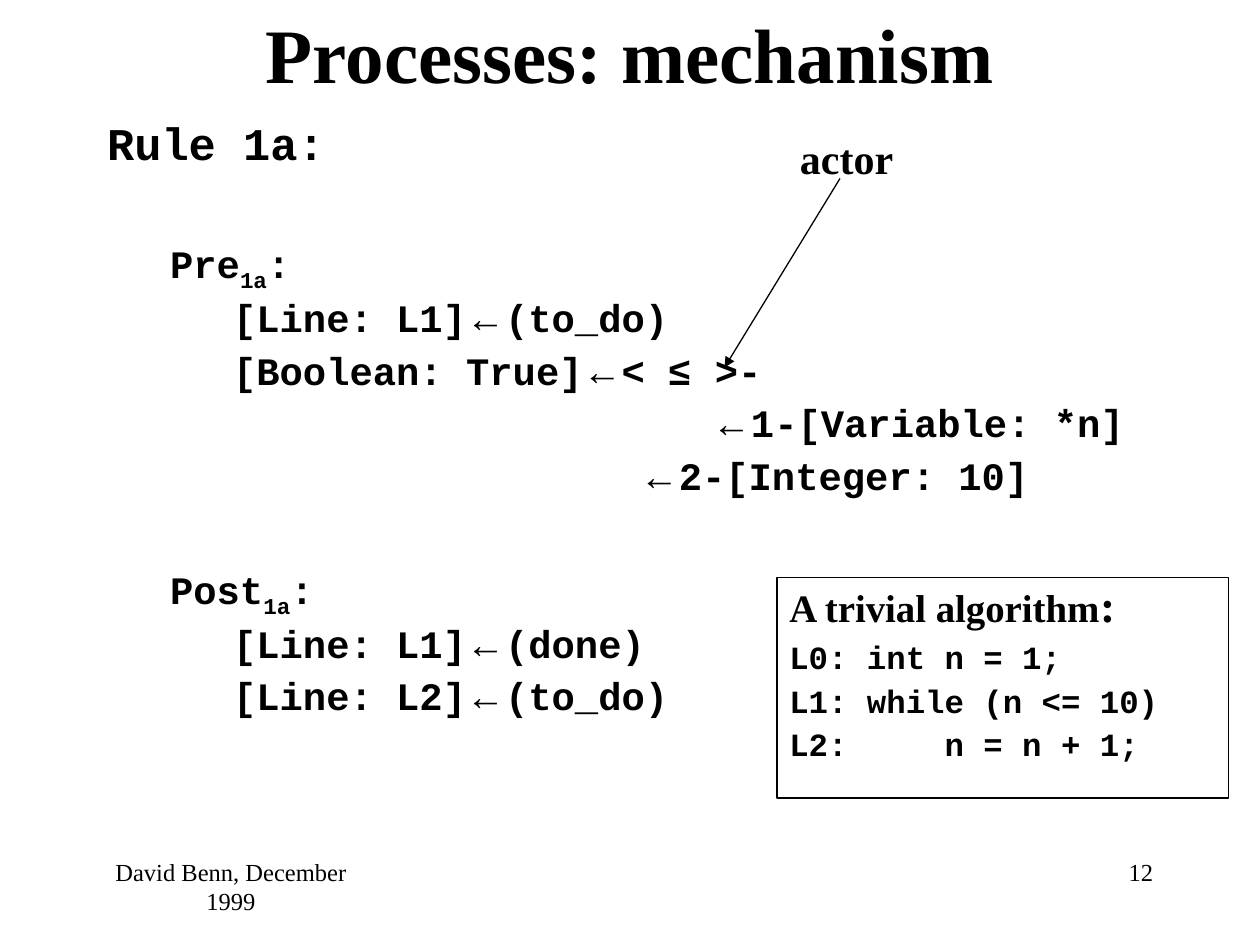
from dataclasses import dataclass

from lxml import etree
from pptx import Presentation
from pptx.dml.color import RGBColor
from pptx.enum.shapes import MSO_CONNECTOR, MSO_SHAPE
from pptx.enum.text import MSO_ANCHOR, MSO_AUTO_SIZE, PP_ALIGN
from pptx.oxml.ns import qn
from pptx.util import Emu, Pt

CENTER, LEFT, RIGHT = PP_ALIGN.CENTER, PP_ALIGN.LEFT, PP_ALIGN.RIGHT
TOP, MIDDLE = MSO_ANCHOR.TOP, MSO_ANCHOR.MIDDLE
NO_FIT = MSO_AUTO_SIZE.NONE
RECTANGLE, STRAIGHT = MSO_SHAPE.RECTANGLE, MSO_CONNECTOR.STRAIGHT
PX = 9525


@dataclass(frozen=True)
class Theme:
    """Hold the colours, fonts and type sizes of the slide."""
    ink: RGBColor = RGBColor(0, 0, 0)
    serif: str = "Times New Roman"
    mono: str = "Courier New"
    symbol: str = "Arial"
    title: float = 44
    heading: float = 25.9
    label: float = 24
    body: float = 22.2
    code: float = 18.5
    footer: float = 14
    line: float = 0.75
    spacing: float = 0.9


THEME = Theme()
LEVEL_INDENTS = [(36, -36), (78, -30), (120, -24)]
RULE_LINES = [
    (0, 0, None, ["Rule 1a:"]),
    (1, 40, None, ["Pre", "1a", ":"]),
    (2, 6, None, ["[Line: L1]", "←", "(to_do)"]),
    (2, 6, None, ["[Boolean: True]", "←", "< ≤ >-"]),
    (1, 6, 461, ["←", "1-[Variable: *n]"]),
    (2, 6, 406, ["←", "2-[Integer: 10]"]),
    (1, 39, None, ["Post", "1a", ":"]),
    (2, 6, None, ["[Line: L1]", "←", "(done)"]),
    (2, 6, None, ["[Line: L2]", "←", "(to_do)"]),
]
CODE_LINES = ["L0: int n = 1;", "L1: while (n <= 10)", "L2:     n = n + 1;"]


def px(*lengths):
    """Turn pixel lengths into EMU."""
    return [Emu(length * PX) for length in lengths]


def add_run(p, text, size, font, bold=True):
    """Append a formatted run to a paragraph."""
    r = p.add_run()
    r.text = text
    r.font.size, r.font.name, r.font.bold = Pt(size), font, bold
    r.font.color.rgb = THEME.ink
    return r


def format_paragraph(p, before, margin, indent):
    """Set the spacing and indent of an unbulleted paragraph."""
    pPr = p._p.get_or_add_pPr()
    pPr.set("marL", str(margin * PX))
    pPr.set("indent", str(indent * PX))
    etree.SubElement(pPr, qn("a:buNone"))
    p.alignment = LEFT
    p.line_spacing, p.space_before = THEME.spacing, Pt(before)


def next_paragraph(tf, index):
    """Return the first paragraph or append another one."""
    return tf.add_paragraph() if index else tf.paragraphs[0]


def place(s, left, top, width, height):
    """Move and size a shape."""
    s.left, s.top, s.width, s.height = px(left, top, width, height)


def fill_title(s):
    """Write the slide title."""
    place(s, 72, 0, 816, 80)
    tf = s.text_frame
    tf.auto_size, tf.vertical_anchor = NO_FIT, MIDDLE
    p = tf.paragraphs[0]
    p.alignment = CENTER
    add_run(p, "Processes: mechanism", THEME.title, THEME.serif)


def fill_rule(s):
    """Write the rule with its pre- and postconditions."""
    place(s, 72, 88, 816, 544)
    tf = s.text_frame
    tf.auto_size, tf.vertical_anchor = NO_FIT, TOP
    for i, (level, before, margin, parts) in enumerate(RULE_LINES):
        p = next_paragraph(tf, i)
        p.level = level
        indents = LEVEL_INDENTS[level] if margin is None else (margin, 0)
        format_paragraph(p, before, *indents)
        size = THEME.body if level else THEME.heading
        for part in parts:
            arrow = part == "←"
            font = THEME.symbol if arrow else THEME.mono
            r = add_run(p, part, size, font, not arrow)
            if part == "1a":
                r.font._element.set("baseline", "-25000")


def add_label(slide, text, box, size, align=LEFT, bold=False, wrap=True):
    """Add a one-paragraph text box."""
    s = slide.shapes.add_textbox(*px(*box))
    tf = s.text_frame
    tf.word_wrap = wrap
    p = tf.paragraphs[0]
    p.alignment = align
    add_run(p, text, size, THEME.serif, bold)


def add_arrow(slide, start, end):
    """Add a straight line with an arrowhead at its end."""
    s = slide.shapes.add_connector(STRAIGHT, *px(*start, *end))
    s.line.color.rgb, s.line.width = THEME.ink, Pt(THEME.line)
    etree.SubElement(s.line._get_or_add_ln(), qn("a:tailEnd"), type="triangle")
    etree.SubElement(s._element.spPr, qn("a:effectLst"))


def add_algorithm(slide):
    """Add the framed code listing."""
    s = slide.shapes.add_shape(RECTANGLE, *px(592, 440, 344, 168))
    s.shadow.inherit = False
    s.fill.background()
    s.line.color.rgb, s.line.width = THEME.ink, Pt(THEME.line)
    tf = s.text_frame
    tf.word_wrap, tf.vertical_anchor = True, TOP
    p = tf.paragraphs[0]
    format_paragraph(p, 0, *LEVEL_INDENTS[0])
    add_run(p, "A trivial algorithm", THEME.body, THEME.serif)
    add_run(p, ":", THEME.heading, THEME.serif)
    for line in CODE_LINES:
        p = tf.add_paragraph()
        format_paragraph(p, 5, *LEVEL_INDENTS[0])
        add_run(p, line, THEME.code, THEME.mono)


def main():
    """Build and save the slide."""
    prs = Presentation()
    prs.slide_width, prs.slide_height = px(960, 720)
    slide = prs.slides.add_slide(prs.slide_layouts[1])
    fill_title(slide.shapes.title)
    fill_rule(slide.placeholders[1])
    add_label(slide, "actor", (600, 96, 90, 48), THEME.label, bold=True, wrap=False)
    add_arrow(slide, (640, 136), (552, 280))
    add_algorithm(slide)
    add_label(slide, "David Benn, December 1999", (72, 648, 208, 48), THEME.footer, CENTER)
    add_label(slide, "12", (832, 648, 56, 48), THEME.footer, RIGHT)
    prs.save("out.pptx")


if __name__ == "__main__":
    main()
